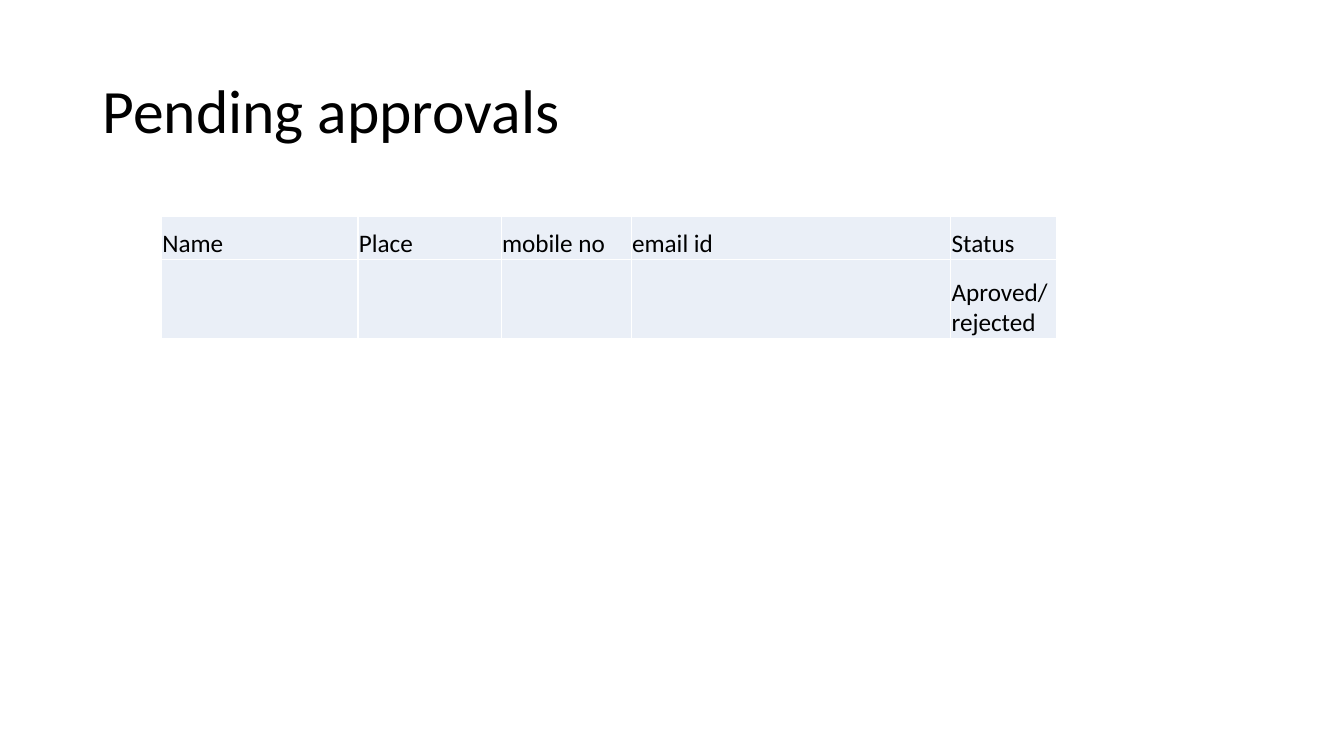
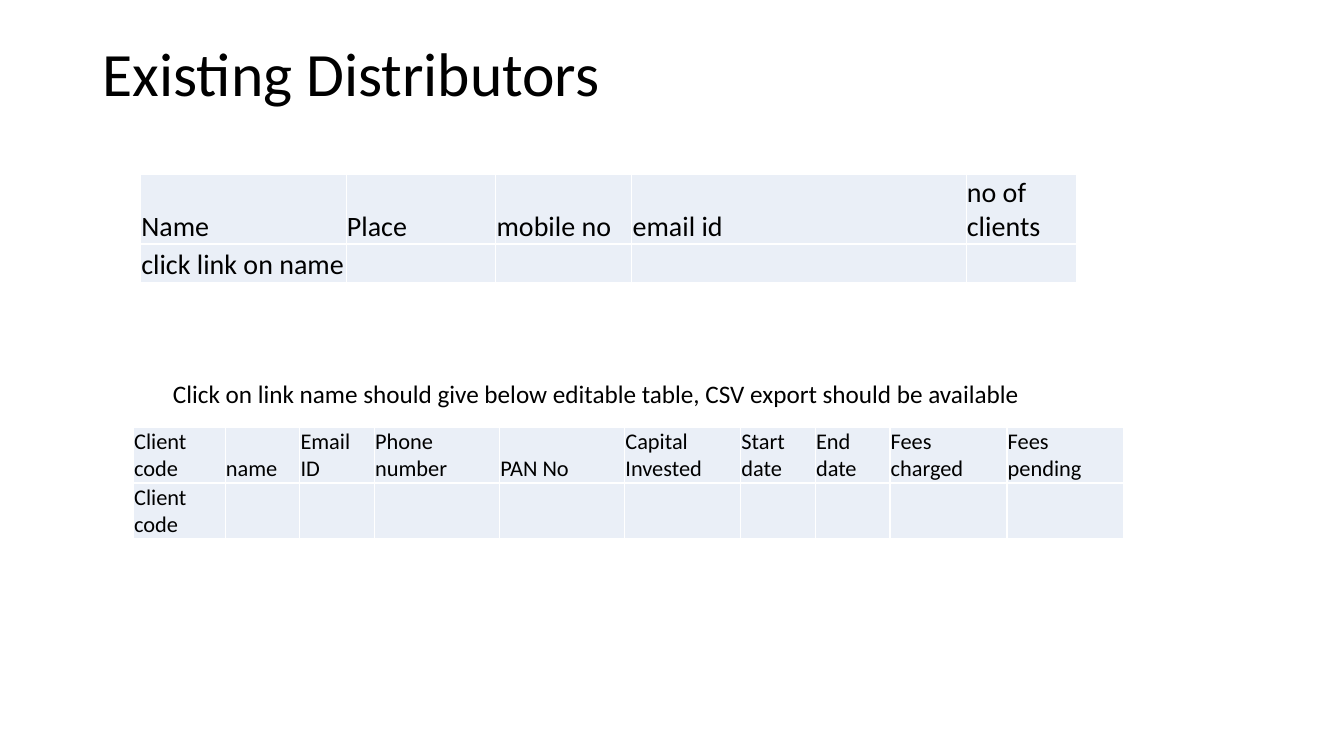
import dataclasses

import lxml.etree
import pptx
import pptx.dml.color
import pptx.enum.text
import pptx.oxml.ns
import pptx.util

Cm = pptx.util.Cm
Pt = pptx.util.Pt
Anchor = pptx.enum.text.MSO_ANCHOR
Align = pptx.enum.text.PP_ALIGN


@dataclasses.dataclass(frozen=True)
class Theme:
    font: str = "Calibri"
    ink: str = "000000"
    cell: str = "EAEFF7"
    rule: str = "FFFFFF"
    rule_width: float = 1
    title: int = 44
    large: int = 20
    body: int = 18
    small: int = 16


@dataclasses.dataclass(frozen=True)
class Box:
    left: float
    top: float
    width: float
    height: float

    def place(self):
        return [Cm(v) for v in (self.left, self.top, self.width, self.height)]


THEME = Theme()
CELL_FORMAT = {
    "vertical_anchor": Anchor.BOTTOM,
    "margin_left": Cm(0.02),
    "margin_right": Cm(0.02),
    "margin_top": Cm(0.02),
    "margin_bottom": Cm(0),
}
TITLE_FORMAT = {
    "vertical_anchor": Anchor.MIDDLE,
    "margin_top": Cm(0),
    "margin_bottom": Cm(0),
    "word_wrap": True,
    "auto_size": pptx.enum.text.MSO_AUTO_SIZE.NONE,
}
PARAGRAPH_FORMAT = {"alignment": Align.LEFT, "line_spacing": 0.9}
PLAIN_TABLE = {"first_row": False, "horz_banding": False}
CONTACT_SHARES = [1.95, 1.42, 1.29, 3.17, 1.05]
CLIENT_SHARES = [0.91, 0.74, 0.74, 1.24, 1.24, 1.15, 0.74, 0.74, 1.16, 1.16]
CONTACT_HEADINGS = ["Name", "Place", "mobile no", "email id"]
CLIENT_HEADINGS = [
    "Client code", "name", "Email ID", "Phone number", "PAN No",
    "Capital Invested", "Start date", "End date", "Fees charged", "Fees pending",
]


def apply(target, values):
    for key, value in values.items():
        setattr(target, key, value)


def write(paragraph, words, size):
    run = paragraph.add_run()
    run.text = words
    apply(run.font, {"name": THEME.font, "size": Pt(size), "bold": False})
    run.font.color.rgb = pptx.dml.color.RGBColor.from_string(THEME.ink)


def add_borders(cell):
    qn = pptx.oxml.ns.qn
    properties = cell._tc.get_or_add_tcPr()
    for position, side in enumerate(("lnL", "lnR", "lnT", "lnB")):
        line = lxml.etree.Element(qn(f"a:{side}"), w=str(Pt(THEME.rule_width)))
        fill = lxml.etree.SubElement(line, qn("a:solidFill"))
        lxml.etree.SubElement(fill, qn("a:srgbClr"), val=THEME.rule)
        properties.insert(position, line)


def add_titled_slide(deck, words, box):
    slide = deck.slides.add_slide(deck.slide_layouts[5])
    title = slide.shapes.title
    apply(title, dict(zip(("left", "top", "width", "height"), box.place())))
    apply(title.text_frame, TITLE_FORMAT)
    paragraph = title.text_frame.paragraphs[0]
    apply(paragraph, PARAGRAPH_FORMAT)
    write(paragraph, words, THEME.title)
    return slide


def add_grid(slide, box, shares, row_heights, rows, size):
    grid = slide.shapes.add_table(len(rows), len(shares), *box.place()).table
    apply(grid, PLAIN_TABLE)
    for column, share in zip(grid.columns, shares):
        column.width = Cm(box.width * share / sum(shares))
    for row, height, entries in zip(grid.rows, row_heights, rows):
        row.height = Cm(height)
        for cell, words in zip(row.cells, entries):
            apply(cell, CELL_FORMAT)
            cell.fill.solid()
            cell.fill.fore_color.rgb = pptx.dml.color.RGBColor.from_string(THEME.cell)
            add_borders(cell)
            if words:
                write(cell.text_frame.paragraphs[0], words, size)


def add_instruction(slide, box, words):
    frame = slide.shapes.add_textbox(*box.place()).text_frame
    frame.word_wrap = True
    write(frame.paragraphs[0], words, THEME.body)


def build_pending_approvals(deck):
    slide = add_titled_slide(deck, "Pending approvals", Box(2.33, 1.02, 29.21, 3.68))
    approvals = [CONTACT_HEADINGS + ["Status"], [""] * 4 + ["Aproved/rejected"]]
    add_grid(slide, Box(4.07, 5.46, 22.56, 3.07), CONTACT_SHARES,
             [1.08, 1.99], approvals, THEME.body)


def build_existing_distributors(deck):
    slide = add_titled_slide(deck, "Existing Distributors", Box(2.33, 1.02, 29.21, 1.8))
    distributors = [CONTACT_HEADINGS + ["no of clients"], ["click link on name"] + [""] * 4]
    add_grid(slide, Box(3.54, 4.4, 23.6, 2.69), CONTACT_SHARES,
             [1.73, 0.96], distributors, THEME.large)
    clients = [CLIENT_HEADINGS, ["Client code"] + [""] * 9]
    add_grid(slide, Box(3.36, 10.77, 24.97, 2.76), CLIENT_SHARES,
             [1.38, 1.38], clients, THEME.small)
    add_instruction(slide, Box(4.11, 9.42, 22.1, 1.8),
                    "Click on link name should give below editable table, "
                    "CSV export should be available")


def main():
    deck = pptx.Presentation()
    apply(deck, {"slide_width": Cm(33.87), "slide_height": Cm(19.05)})
    build_pending_approvals(deck)
    build_existing_distributors(deck)
    deck.save("out.pptx")


if __name__ == "__main__":
    main()
